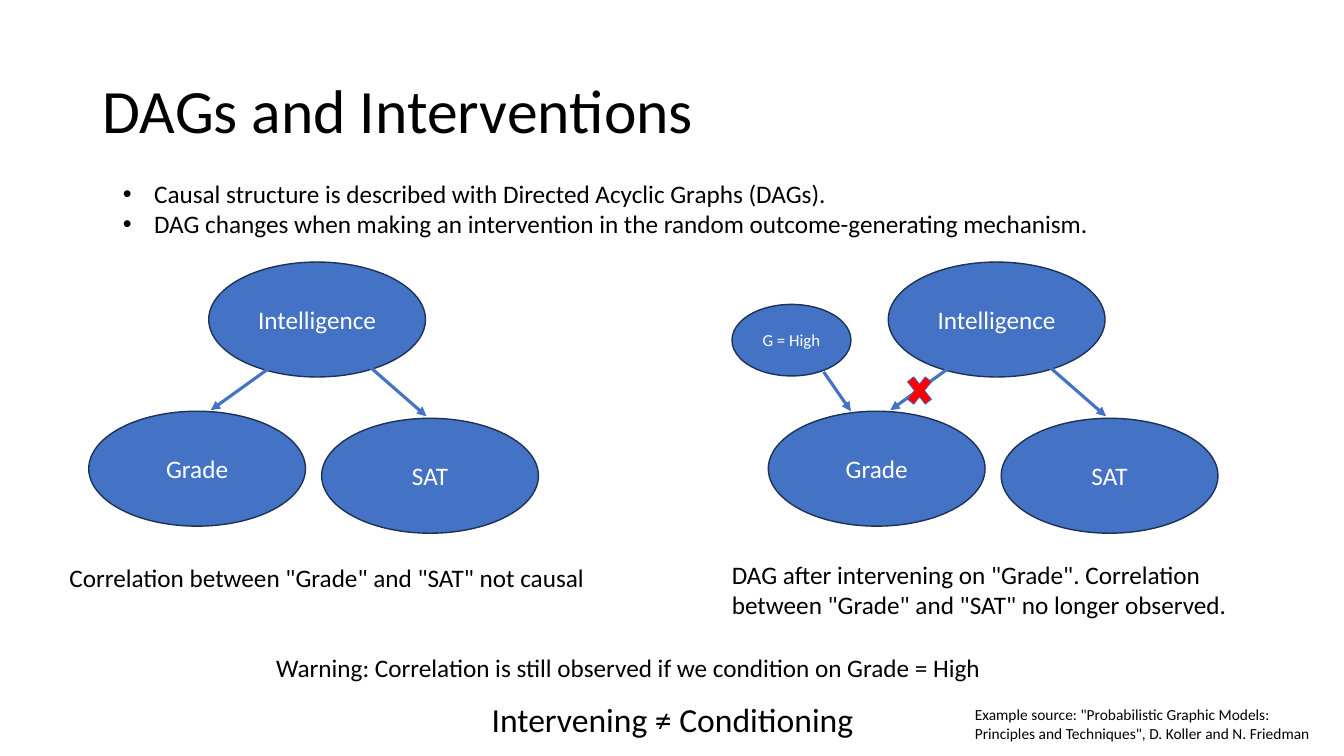
"""Build a slide that contrasts a causal DAG before and after an intervention."""
from lxml.etree import SubElement
from pptx import Presentation
from pptx.dml.color import RGBColor
from pptx.enum.shapes import MSO_CONNECTOR as CONNECTOR, MSO_SHAPE as SHAPE
from pptx.enum.text import MSO_ANCHOR as ANCHOR, MSO_AUTO_SIZE as AUTO_SIZE, PP_ALIGN as ALIGN
from pptx.oxml.ns import qn
from pptx.util import Pt

BLACK = RGBColor(0x00, 0x00, 0x00)
WHITE = RGBColor(0xFF, 0xFF, 0xFF)
BLUE = RGBColor(0x44, 0x72, 0xC4)
NAVY = RGBColor(0x1E, 0x32, 0x56)
RED = RGBColor(0xFF, 0x00, 0x00)
EMU_PER_PX = 9144
TITLE_ONLY = 5
BULLET_INDENT = 31
NODE_SIZE = (215, 114)


def px(*lengths):
    return [length * EMU_PER_PX for length in lengths]


class DagSlide:
    """Hold the style and the current slide."""

    font = "Calibri"

    def __init__(self, deck):
        self.slide = deck.slides.add_slide(deck.slide_layouts[TITLE_ONLY])

    def add_words(self, paragraph, words, size, color, align=ALIGN.LEFT):
        paragraph.alignment = align
        run = paragraph.add_run()
        run.text = words
        run.font.name = self.font
        run.font.size = Pt(size)
        run.font.color.rgb = color

    def title(self, box, words):
        heading = self.slide.shapes.title
        heading.left, heading.top, heading.width, heading.height = px(*box)
        frame = heading.text_frame
        frame.auto_size = AUTO_SIZE.NONE
        frame.vertical_anchor = ANCHOR.MIDDLE
        frame.paragraphs[0].line_spacing = 0.9
        self.add_words(frame.paragraphs[0], words, 44, BLACK)

    def text(self, box, lines, size=18, align=ALIGN.LEFT, bulleted=False):
        frame = self.slide.shapes.add_textbox(*px(*box)).text_frame
        frame.word_wrap = True
        frame.auto_size = AUTO_SIZE.SHAPE_TO_FIT_TEXT
        for index, line in enumerate(lines):
            paragraph = frame.add_paragraph() if index else frame.paragraphs[0]
            if bulleted:
                self.bullet(paragraph)
            self.add_words(paragraph, line, size, BLACK, align)

    def bullet(self, paragraph):
        indent = BULLET_INDENT * EMU_PER_PX
        properties = paragraph._p.get_or_add_pPr()
        properties.set("marL", str(indent))
        properties.set("indent", str(-indent))
        SubElement(properties, qn("a:buFont")).set("typeface", "Arial")
        SubElement(properties, qn("a:buChar")).set("char", "•")

    def shape(self, group, kind, box, fill, line, weight):
        figure = group.shapes.add_shape(kind, *px(*box))
        figure.shadow.inherit = False
        figure.fill.solid()
        figure.fill.fore_color.rgb = fill
        figure.line.color.rgb = line
        figure.line.width = Pt(weight)
        return figure

    def node(self, group, box, label, size=18):
        frame = self.shape(group, SHAPE.OVAL, box, BLUE, NAVY, 1).text_frame
        frame.word_wrap = True
        frame.vertical_anchor = ANCHOR.MIDDLE
        self.add_words(frame.paragraphs[0], label, size, WHITE, ALIGN.CENTER)

    def arrow(self, group, start, end):
        edge = group.shapes.add_connector(CONNECTOR.STRAIGHT, *px(*start, *end))
        edge.line.color.rgb = BLUE
        edge.line.width = Pt(2.25)
        SubElement(edge.line._get_or_add_ln(), qn("a:tailEnd")).set("type", "triangle")
        SubElement(edge._element.spPr, qn("a:effectLst"))

    def dag(self, left):
        group = self.slide.shapes.add_group_shape()
        for label, x, y in (("Intelligence", 119, 260), ("SAT", 231, 415), ("Grade", 0, 408)):
            self.node(group, (left + x, y, *NODE_SIZE), label)
        self.arrow(group, (left + 178, 366), (left + 121, 407))
        self.arrow(group, (left + 280, 365), (left + 335, 413))
        return group


def main():
    deck = Presentation()
    deck.slide_width, deck.slide_height = px(1333, 750)
    page = DagSlide(deck)
    page.title((92, 40, 1150, 145), "DAGs and Interventions")

    page.dag(88)
    intervened = page.dag(762)
    page.node(intervened, (726, 302, 118, 71), "G = High", 12)
    page.arrow(intervened, (817, 369), (844, 408))
    page.shape(intervened, SHAPE.MATH_MULTIPLY, (895, 366, 34, 43), RED, BLUE, 0.5)

    page.text((59, 553, 537, 40), ['Correlation between "Grade" and "SAT" not causal'])
    page.text((716, 550, 521, 71), [
        'DAG after intervening on "Grade". Correlation between "Grade" and "SAT" no longer observed.',
    ])
    page.text((112, 172, 1032, 101), [
        "Causal structure is described with Directed Acyclic Graphs (DAGs).",
        "DAG changes when making an intervention in the random outcome-generating mechanism.",
    ], bulleted=True)
    page.text((264, 642, 721, 40), [
        "Warning: Correlation is still observed if we condition on Grade = High",
    ])
    page.text((324, 688, 686, 50), ["Intervening ≠ Conditioning"], 24, ALIGN.CENTER)
    page.text((957, 695, 361, 47), [
        'Example source: "Probabilistic Graphic Models: Principles and Techniques", '
        "D. Koller and N. Friedman",
    ], 11)
    deck.save("out.pptx")


if __name__ == "__main__":
    main()
